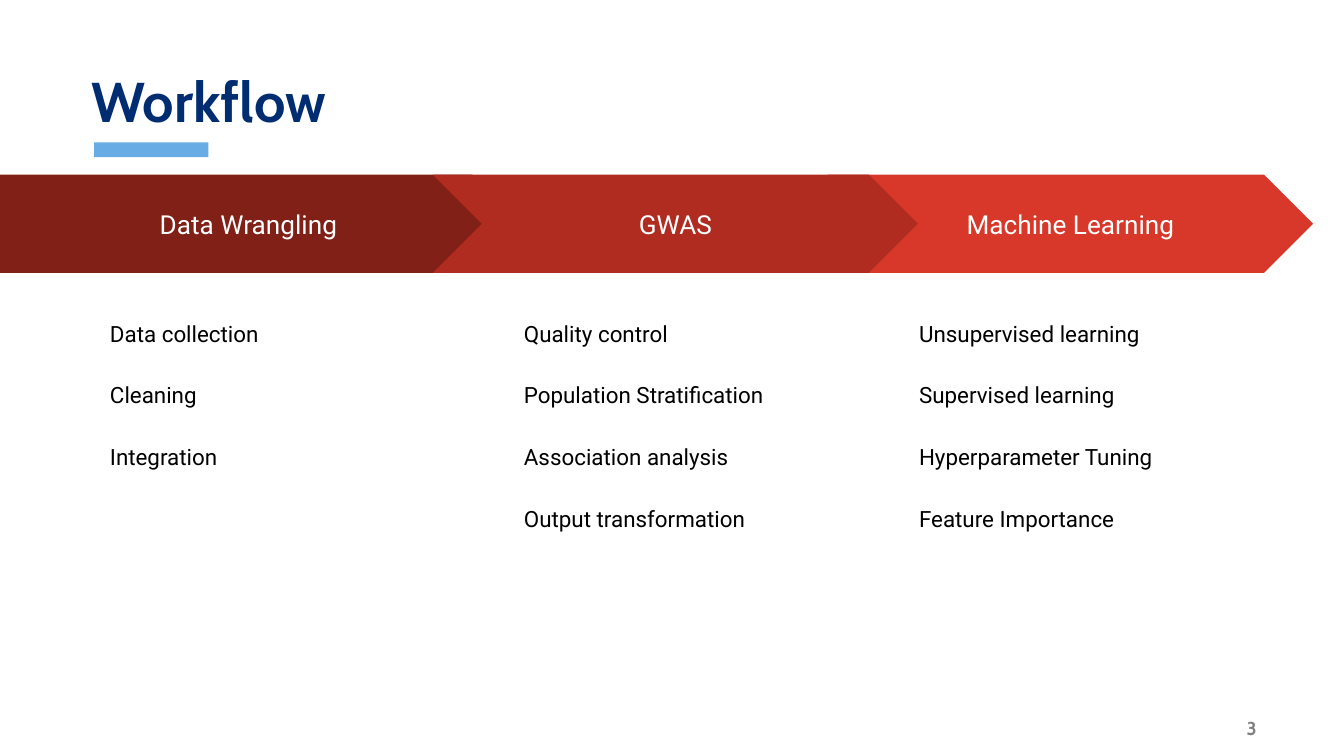
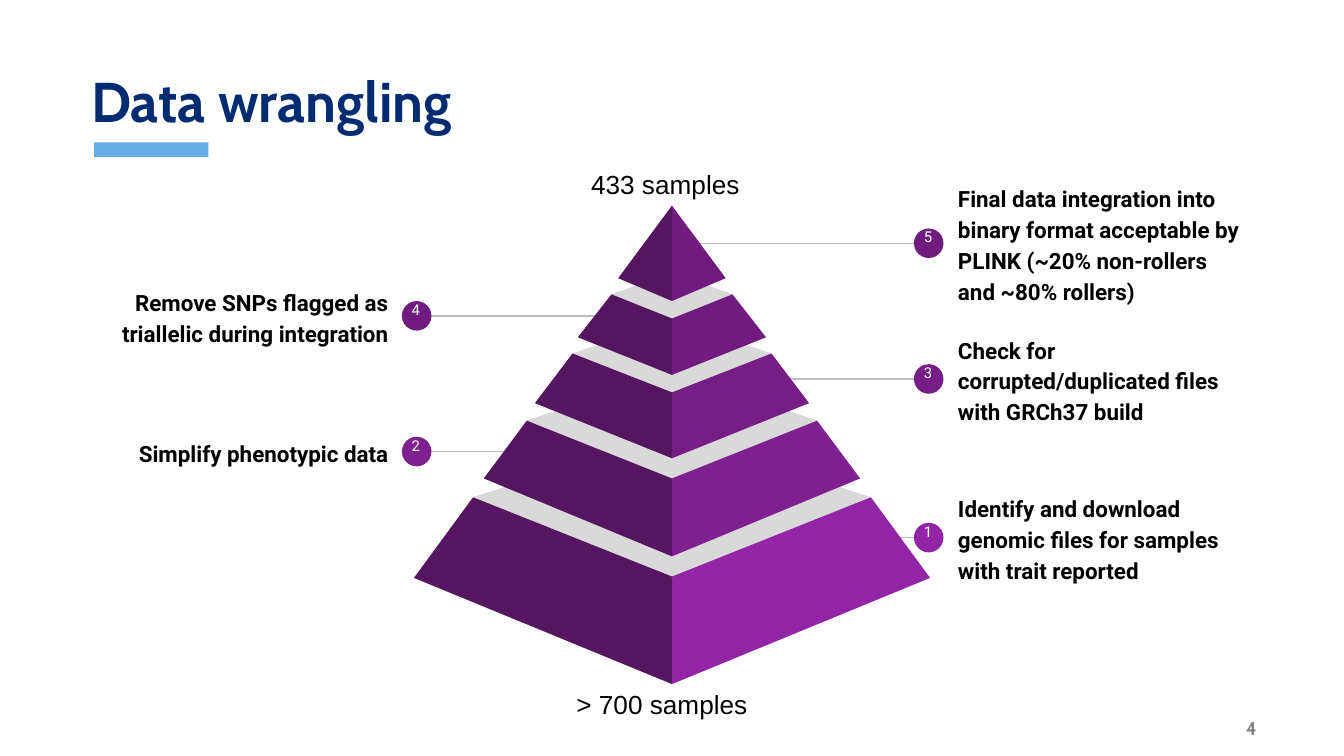
from lxml.etree import SubElement
from pptx import Presentation
from pptx.dml.color import RGBColor
from pptx.enum.shapes import MSO_CONNECTOR, MSO_SHAPE as Preset
from pptx.enum.text import MSO_ANCHOR as Anchor, PP_ALIGN as Align
from pptx.oxml.ns import qn
from pptx.util import Pt

PX = 9144
PAGE_WIDTH = 1000
CENTER = PAGE_WIDTH // 2

WHITE = RGBColor(0xFF, 0xFF, 0xFF)
BLACK = RGBColor(0x00, 0x00, 0x00)
NAVY = RGBColor(0x00, 0x2D, 0x72)
SKY = RGBColor(0x68, 0xAC, 0xE5)
GRAY = RGBColor(0x7F, 0x7F, 0x7F)
RULE = RGBColor(0xBD, 0xBD, 0xBD)
LEDGE = RGBColor(0xD9, 0xD9, 0xD9)
MAROON = RGBColor(0x80, 0x20, 0x17)
BRICK = RGBColor(0xB0, 0x2C, 0x20)
SCARLET = RGBColor(0xD8, 0x38, 0x29)
SHADE = RGBColor(0x55, 0x15, 0x61)
PLUM = RGBColor(0x70, 0x1C, 0x7F)
GRAPE = RGBColor(0x76, 0x1E, 0x86)
VIOLET = RGBColor(0x7F, 0x20, 0x90)
ORCHID = RGBColor(0x92, 0x25, 0xA5)

STAGE_TOP, STAGE_HEIGHT, LIST_TOP = 130, 73, 225
STAGES = [
    ("Machine Learning", Preset.CHEVRON, 616, 361, SCARLET, 674,
     ["Unsupervised learning", "Supervised learning", "Hyperparameter Tuning", "Feature Importance"]),
    ("Data Wrangling", Preset.PENTAGON, 0, 388, MAROON, 72,
     ["Data collection", "Cleaning", "Integration"]),
    ("GWAS", Preset.CHEVRON, 322, 361, BRICK, 380,
     ["Quality control", "Population Stratification", "Association analysis", "Output transformation"]),
]

CALLOUTS = [
    ("5", "right", 181, 517, PLUM,
     "Final data integration into binary format acceptable by PLINK (~20% non-rollers and ~80% rollers)"),
    ("3", "right", 282, 576, GRAPE, "Check for corrupted/duplicated files with GRCh37 build"),
    ("1", "right", 400, 632, ORCHID, "Identify and download genomic files for samples with trait reported"),
    ("4", "left", 235, 445, PLUM, "Remove SNPs flagged as triallelic during integration"),
    ("2", "left", 336, 396, VIOLET, "Simplify phenotypic data"),
]
SIDES = {"right": (691, 698, 703, Align.LEFT), "left": (310, 304, 66, Align.RIGHT)}
BADGE, NOTE_WIDTH, NOTE_HEIGHT = 22, 233, 82

# Each tier: back y, (half width, y) of shoulder, front y, (half width, y) of base, bottom y, colour
TIERS = [
    (321, (148, 370), 429, (192, 430), 509, ORCHID),
    (276, (108, 313), 356, (140, 356), 414, VIOLET),
    (238, (74, 263), 292, (102, 300), 341, GRAPE),
    (203, (45, 219), 237, (70, 251), 279, PLUM),
    (153, (0, 153), 153, (40, 207), 224, PLUM),
]


def px(*lengths):
    """Turn pixel lengths into EMU."""
    return [length * PX for length in lengths]


def write(shape, lines, font, size, color, bold=False, align=Align.LEFT,
          anchor=Anchor.TOP, insets=(10, 10), spacing=None, gap=0):
    """Fill a shape with uniformly styled paragraphs."""
    frame = shape.text_frame
    frame.word_wrap = True
    frame.vertical_anchor = anchor
    frame.margin_left = frame.margin_right = insets[0] * PX
    frame.margin_top = frame.margin_bottom = insets[1] * PX
    for index, line in enumerate(lines):
        para = frame.add_paragraph() if index else frame.paragraphs[0]
        para.text = line
        para.alignment = align
        if spacing:
            para.line_spacing = spacing
        if index and gap:
            para.space_before = Pt(gap)
        para.font.name, para.font.size, para.font.bold = font, Pt(size), bold
        para.font.color.rgb = color


def add_text(page, place, lines, font, size, color, **style):
    """Add a text box."""
    write(page.shapes.add_textbox(*px(*place)), lines, font, size, color, **style)


def paint(shape, color):
    """Give a shape a flat fill with no outline or shadow."""
    shape.shadow.inherit = False
    shape.fill.solid()
    shape.fill.fore_color.rgb = color
    shape.line.fill.background()


def add_block(page, preset, place, color):
    """Add a flat preset shape."""
    block = page.shapes.add_shape(preset, *px(*place))
    paint(block, color)
    return block


def add_facet(page, points, color):
    """Add a flat closed polygon."""
    start, *rest = dict.fromkeys(points)
    builder = page.shapes.build_freeform(*start, scale=PX)
    builder.add_line_segments(rest, close=True)
    paint(builder.convert_to_shape(), color)


def add_rule(page, start, end, y):
    """Add a thin horizontal leader line."""
    rule = page.shapes.add_connector(MSO_CONNECTOR.STRAIGHT, *px(start, y, end, y))
    rule.line.color.rgb = RULE
    rule.line.width = Pt(0.75)
    SubElement(rule._element.spPr, qn("a:effectLst"))


def add_page(deck, title, number):
    """Add a page with its title, accent bar and number."""
    page = deck.slides.add_slide(deck.slide_layouts[6])
    add_block(page, Preset.RECTANGLE, (70, 106, 85, 11), SKY)
    add_text(page, (863, 532, 87, 19), [str(number)], "Cabin", 10, GRAY, bold=True,
             align=Align.RIGHT, anchor=Anchor.MIDDLE, insets=(15, 5))
    add_text(page, (58, 50, 884, 56), [title], "Cabin", 30, NAVY, bold=True,
             anchor=Anchor.MIDDLE, insets=(10, 5), spacing=0.9)
    return page


def add_stage(page, name, preset, left, width, color, list_left, steps):
    """Add a workflow arrow and the steps below it."""
    arrow = add_block(page, preset, (left, STAGE_TOP, width, STAGE_HEIGHT), color)
    write(arrow, [name], "Roboto", 14, WHITE, align=Align.CENTER, anchor=Anchor.MIDDLE)
    add_text(page, (list_left, LIST_TOP, 244, 286), steps, "Roboto", 12, BLACK,
             spacing=1.15, gap=16.5)


def add_callout(page, number, side, y, tip, color, note):
    """Add a numbered badge with its leader line and note."""
    badge_x, line_x, note_left, align = SIDES[side]
    add_rule(page, tip, line_x, y)
    corner = (badge_x - BADGE // 2, y - BADGE // 2)
    add_block(page, Preset.OVAL, (*corner, BADGE, BADGE), color)
    add_text(page, (badge_x - 14, y - 18, 27, 34), [number], "Roboto", 8, WHITE,
             align=Align.CENTER)
    add_text(page, (note_left, y - NOTE_HEIGHT // 2, NOTE_WIDTH, NOTE_HEIGHT), [note],
             "Roboto", 12, BLACK, bold=True, align=align, anchor=Anchor.MIDDLE, spacing=1.15)


def add_tier(page, back, shoulder, front, base, bottom, color):
    """Add one pyramid tier: its ledge and two mirrored faces."""
    half, level = shoulder
    if half:
        add_facet(page, [(CENTER - half, level), (CENTER, front),
                         (CENTER + half, level), (CENTER, back)], LEDGE)
    for sign, shade in ((-1, SHADE), (1, color)):
        add_facet(page, [(CENTER + sign * half, level), (CENTER, front), (CENTER, bottom),
                         (CENTER + sign * base[0], base[1])], shade)


def main():
    """Build and save the deck."""
    deck = Presentation()
    deck.slide_width = PAGE_WIDTH * PX
    deck.slide_height = deck.slide_width * 9 // 16

    workflow = add_page(deck, "Workflow", 3)
    for stage in STAGES:
        add_stage(workflow, *stage)

    wrangling = add_page(deck, "Data wrangling", 4)
    for callout in CALLOUTS:
        add_callout(wrangling, *callout)
    for tier in TIERS:
        add_tier(wrangling, *tier)
    add_text(wrangling, (430, 115, 146, 43), ["433 samples"], "Arial", 14, BLACK)
    add_text(wrangling, (419, 502, 181, 43), ["> 700 samples"], "Arial", 14, BLACK)

    deck.save("out.pptx")


if __name__ == "__main__":
    main()
